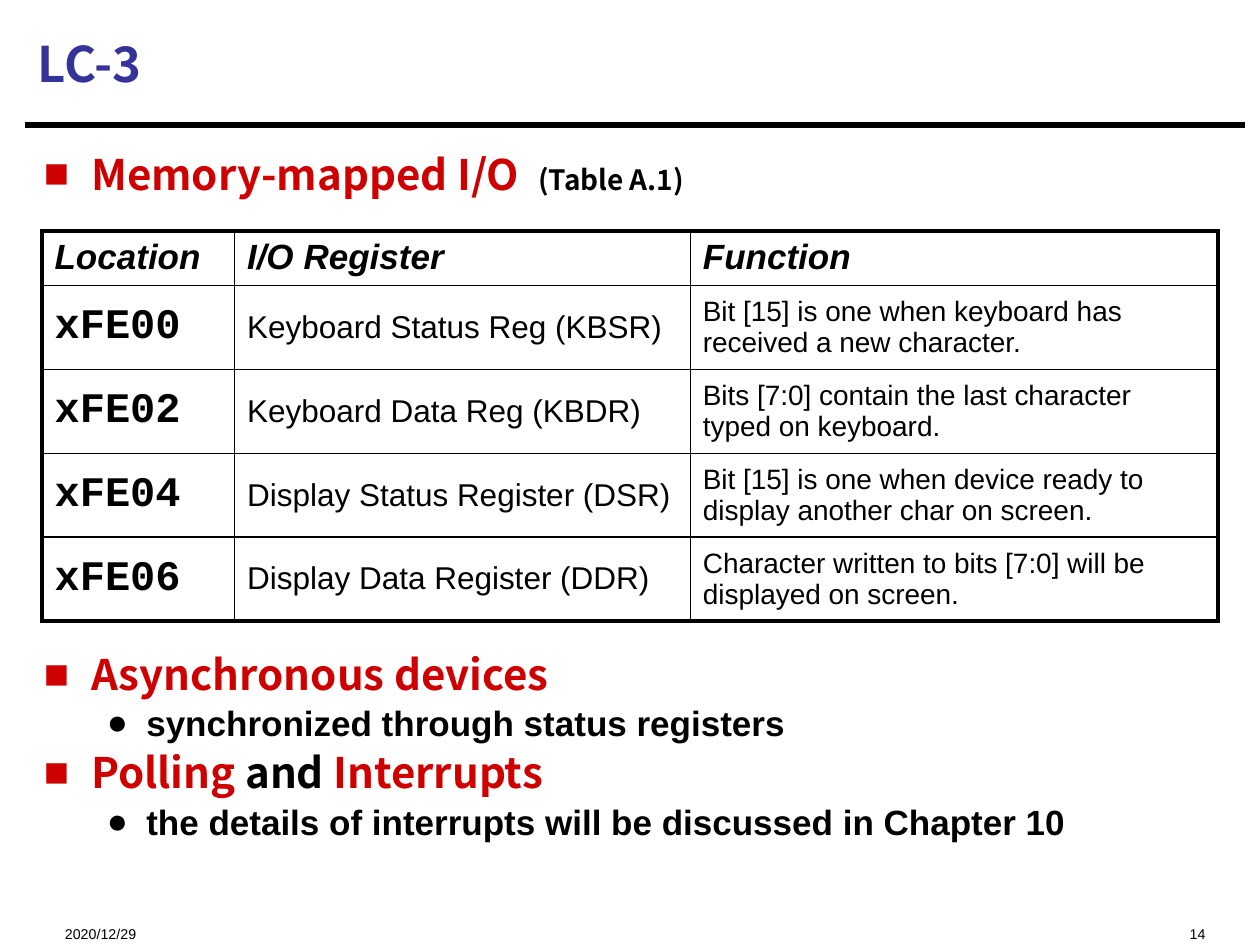
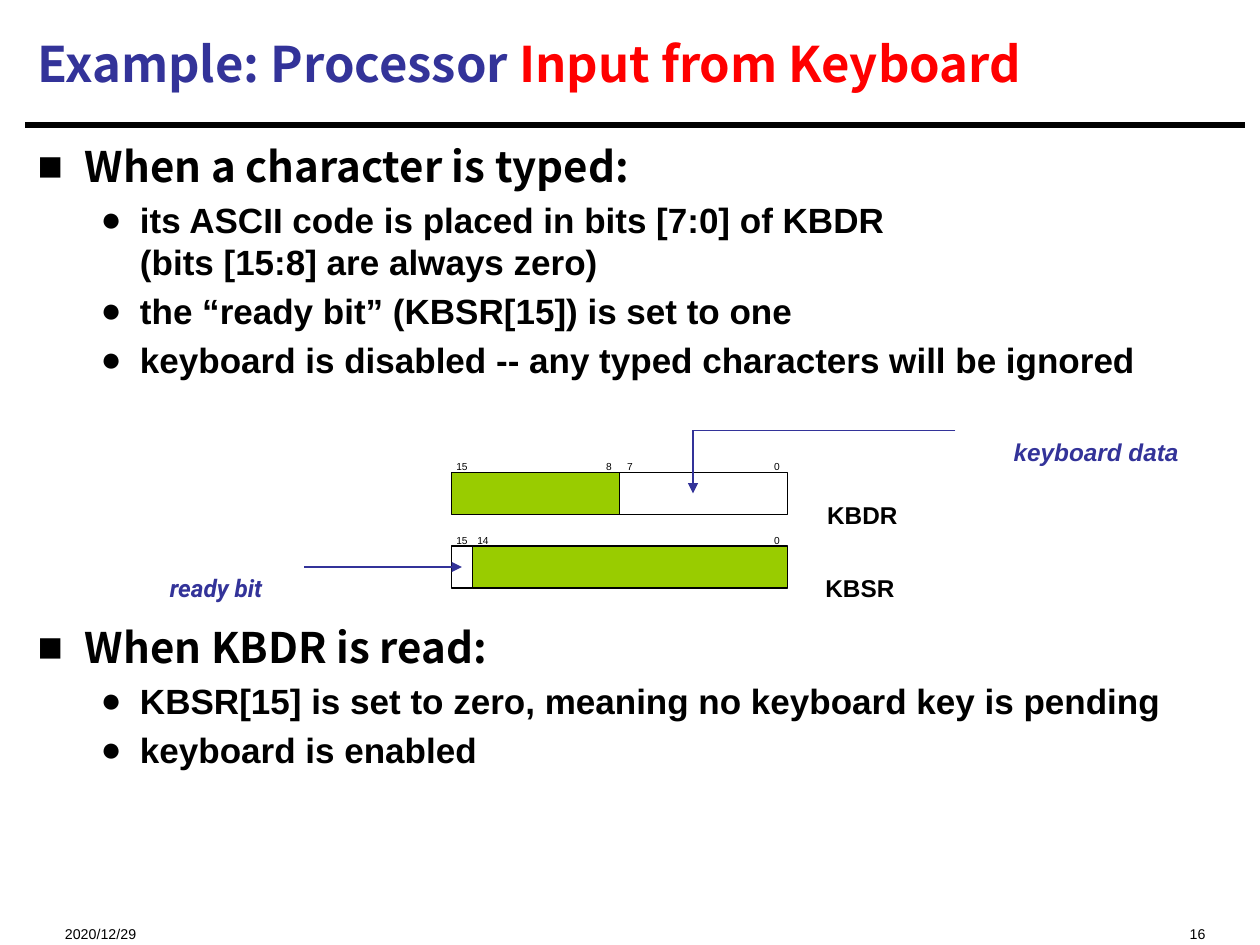
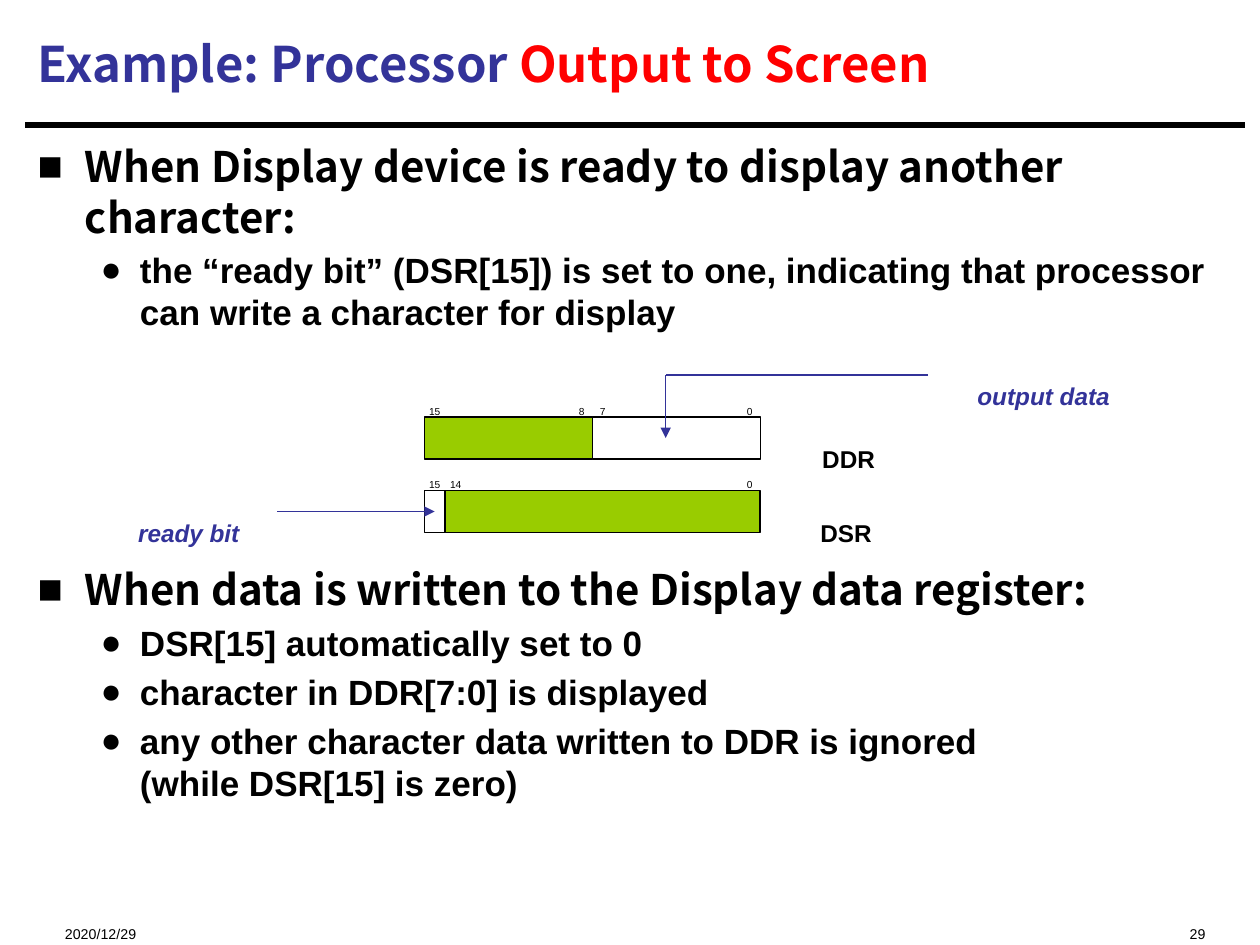
from lxml import etree
from pptx import Presentation
from pptx import util as u
from pptx.dml import color
from pptx.enum import shapes, text
from pptx.oxml import ns

Pt = u.Pt
RGB = color.RGBColor
BLACK = RGB(0, 0, 0)
WHITE = RGB(255, 255, 255)
BLUE = RGB(0x33, 0x33, 0x99)
RED = RGB(0xFF, 0, 0)
CRIMSON = RGB(0xCE, 0, 0)
GREEN = RGB(0x99, 0xCC, 0)
SANS = "Arial"
HEAD = "Noto Sans CJK SC"
MONO = "Courier New"
DATE = "2020/12/29"
BIT = 12
CELL = 24
STEP = 42
LEVELS = [
    dict(mark="■", left=27, hang=27, size=24, face=HEAD),
    dict(mark="●", left=58.5, hang=22.5, size=20, face=SANS),
]


def node(host, tag, **attrs):
    item = etree.SubElement(host, ns.qn(tag))
    for key, value in attrs.items():
        item.set(key, str(value))
    return item


def write(para, words, size=20, face=SANS, hue=BLACK, bold=False, ital=False, sub=False, align=None):
    if align is not None:
        para.alignment = align
    for row, part in enumerate(words.split("\n")):
        if row:
            para.add_line_break()
        run = para.add_run()
        run.text = part
        font = run.font
        font.size, font.name = Pt(size), face
        font.bold, font.italic = bold, ital
        font.color.rgb = hue
        if sub:
            run._r.get_or_add_rPr().set("baseline", "-33000")


def frame(host, left, top, wide, high, wrap=True):
    box = host.add_textbox(Pt(left), Pt(top), Pt(wide), Pt(high))
    box.text_frame.word_wrap = wrap
    return box.text_frame


def line(host, start, end, hue, width, arrow=False):
    ends = [Pt(v) for v in (*start, *end)]
    link = host.add_connector(shapes.MSO_CONNECTOR.STRAIGHT, *ends)
    link.line.color.rgb = hue
    link.line.width = Pt(width)
    if arrow:
        node(link.line._get_or_add_ln(), "a:tailEnd", type="triangle")
    node(link._element.spPr, "a:effectLst")


def base(deck, title, page):
    slide = deck.slides.add_slide(deck.slide_layouts[6])
    host = slide.shapes
    line(host, (14.4, 71.4), (711.4, 71.4), BLACK, 3.75)
    sides = [(DATE, 30, 180, text.PP_ALIGN.LEFT), (page, 480, 216, text.PP_ALIGN.RIGHT)]
    for words, left, wide, align in sides:
        foot = frame(host, left, 515, wide, 19.5)
        write(foot.paragraphs[0], words, size=14, sub=True, align=align)
    top = frame(host, 14.4, 6, 696, 60)
    top.vertical_anchor = text.MSO_ANCHOR.MIDDLE
    for words, hue in title:
        write(top.paragraphs[0], words, size=28, face=HEAD, hue=hue, bold=True)
    return host


def body(host, box, items, ratio=1.2):
    area = frame(host, *box)
    for spot, (level, runs, gap) in enumerate(items):
        para = area.add_paragraph() if spot else area.paragraphs[0]
        look = LEVELS[level]
        size = look["size"]
        para.level = level
        para.line_spacing = Pt(round(size * ratio, 1))
        para.space_before = Pt(gap or size / 5)
        props = para._p.get_or_add_pPr()
        props.set("marL", str(Pt(look["left"])))
        props.set("indent", str(-Pt(look["hang"])))
        node(props, "a:buFont", typeface=SANS)
        node(props, "a:buChar", char=look["mark"])
        for words, extra in runs:
            style = dict(size=size, face=look["face"], bold=True) | extra
            write(para, words, **style)


def item(level, words, gap=None):
    return level, [(words, {})], gap


def edge(cell, tag, width):
    side = node(cell._tc.get_or_add_tcPr(), tag, w=Pt(width))
    node(node(side, "a:solidFill"), "a:srgbClr", val=BLACK)


def grid(host, left, top, widths, heights, rows):
    shape = host.add_table(len(rows), len(widths), Pt(left), Pt(top), Pt(sum(widths)), Pt(sum(heights)))
    table = shape.table
    table.first_row = table.horz_banding = False
    for col, wide in zip(table.columns, widths):
        col.width = Pt(wide)
    for row, high in zip(table.rows, heights):
        row.height = Pt(high)
    looks = [dict(size=24, face=MONO, bold=True), dict(size=18), dict(size=16)]
    last, end = len(rows) - 1, len(widths) - 1
    for r, row in enumerate(rows):
        for c, words in enumerate(row):
            cell = table.cell(r, c)
            style = looks[c] if r else dict(size=20, bold=True, ital=True)
            write(cell.text_frame.paragraphs[0], words, **style)
            if r:
                cell.vertical_anchor = text.MSO_ANCHOR.MIDDLE
            outer = [("a:lnL", c == 0), ("a:lnR", c == end), ("a:lnT", r == 0), ("a:lnB", r == last)]
            for tag, thick in outer:
                edge(cell, tag, 2.25 if thick else 1)
            cell.fill.background()


def label(host, mid, top, words, wide, high, **style):
    area = frame(host, mid - wide / 2, top, wide, high, wrap=False)
    area.auto_size = text.MSO_AUTO_SIZE.SHAPE_TO_FIT_TEXT
    write(area.paragraphs[0], words, sub=True, align=text.PP_ALIGN.CENTER, **style)


def bits(host, left, top, parts):
    for high, low, hue in parts:
        start = left + (15 - high) * BIT
        wide = (high - low + 1) * BIT
        cell = host.add_shape(shapes.MSO_SHAPE.RECTANGLE, Pt(start), Pt(top), Pt(wide), Pt(CELL))
        cell.shadow.inherit = False
        cell.fill.solid()
        cell.fill.fore_color.rgb = hue
        cell.line.color.rgb = BLACK
        cell.line.width = Pt(0.75)
        for bit in sorted({high, low}, reverse=True):
            mid = left + (15.5 - bit) * BIT
            label(host, mid, top - 17.8, str(bit), 25 if bit > 9 else 20, 19.4, size=10)


def regs(host, left, top, names, note, name_mid, note_mid, face=SANS):
    rows = [
        [(15, 8, GREEN), (7, 0, WHITE)],
        [(15, 15, WHITE), (14, 0, GREEN)],
    ]
    for spot, (name, parts) in enumerate(zip(names, rows)):
        high = top + spot * STEP
        bits(host, left, high, parts)
        label(host, left + name_mid - 1.4 * spot, high - 6, name, 22 * len(name) - 4, 36, size=24, bold=True)
    tone = dict(size=24, hue=BLUE, bold=True, ital=True)
    label(host, left + note_mid, top - 42, note, 13.4 * len(note), 36, **tone)
    label(host, left - 134.5, top + 36, "ready bit", 112, 36, face=face, **tone)
    bend = (left + 138, top - 24)
    line(host, (left + 288, top - 24), bend, BLUE, 0.75)
    line(host, bend, (left + 138, top + 12), BLUE, 0.75, arrow=True)
    line(host, (left - 84, top + 54), (left + 6, top + 54), BLUE, 0.75, arrow=True)


def memory(deck):
    host = base(deck, [("LC-3", BLUE)], "14")
    red = dict(hue=CRIMSON)
    body(host, (18, 84, 624, 438), [
        (0, [("Memory-mapped I/O  ", red), ("(Table A.1)", dict(size=16))], None),
        (0, [("Asynchronous devices", red)], 260),
        item(1, "synchronized through status registers"),
        (0, [("Polling", red), (" and ", {}), ("Interrupts", red)], None),
        item(1, "the details of interrupts will be discussed in Chapter 10"),
    ], ratio=1.08)
    grid(host, 24, 132, [110, 260.5, 301.5], [31] + [47.9] * 4, [
        ("Location", "I/O Register", "Function"),
        ("xFE00", "Keyboard Status Reg (KBSR)", "Bit [15] is one when keyboard has received a new character."),
        ("xFE02", "Keyboard Data Reg (KBDR)", "Bits [7:0] contain the last character typed on keyboard."),
        ("xFE04", "Display Status Register (DSR)", "Bit [15] is one when device ready to display another char on screen."),
        ("xFE06", "Display Data Register (DDR)", "Character written to bits [7:0] will be displayed on screen."),
    ])


def device(deck, topic, page, items):
    host = base(deck, [("Example: Processor ", BLUE), (topic, RED)], page)
    body(host, (14.4, 77, 696, 431), items)
    return host


def main():
    deck = Presentation()
    deck.slide_width, deck.slide_height = Pt(720), Pt(540)
    memory(deck)
    host = device(deck, "Input from Keyboard", "16", [
        item(0, "When a character is typed:"),
        item(1, "its ASCII code is placed in bits [7:0] of KBDR\n(bits [15:8] are always zero)"),
        item(1, "the “ready bit” (KBSR[15]) is set to one"),
        item(1, "keyboard is disabled -- any typed characters will be ignored"),
        item(0, "When KBDR is read:", 138),
        item(1, "KBSR[15] is set to zero, meaning no keyboard key is pending"),
        item(1, "keyboard is enabled"),
    ])
    regs(host, 258, 270, ("KBDR", "KBSR"), "keyboard data", 234.8, 368.4, face="Roboto")
    host = device(deck, "Output to Screen", "29", [
        item(0, "When Display device is ready to display another character:"),
        item(1, "the “ready bit” (DSR[15]) is set to one, indicating that processor can write a character for display"),
        item(0, "When data is written to the Display data register:", 132),
        item(1, "DSR[15] automatically set to 0"),
        item(1, "character in DDR[7:0] is displayed"),
        item(1, "any other character data written to DDR is ignored\n(while DSR[15] is zero)"),
    ])
    group = host.add_group_shape().shapes
    regs(group, 242.4, 238.3, ("DDR", "DSR"), "output data", 242.5, 354)
    deck.save("out.pptx")


if __name__ == "__main__":
    main()
